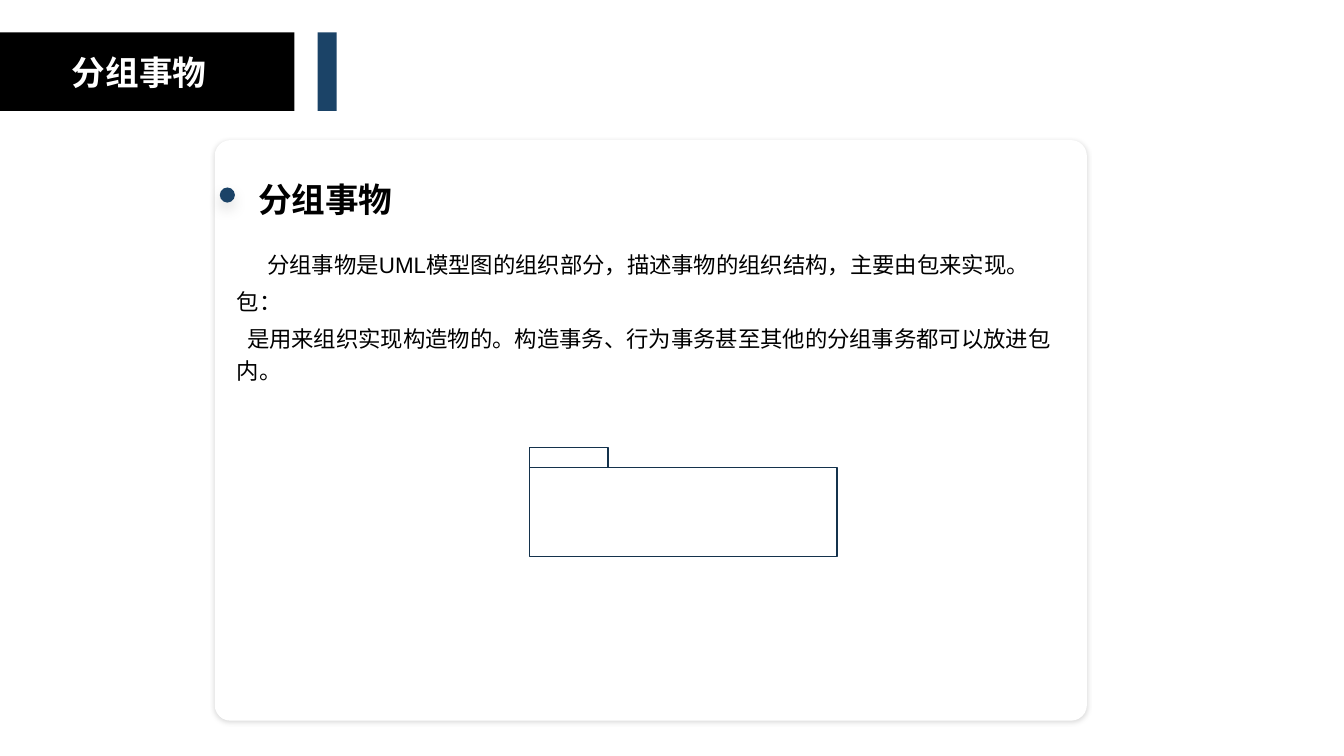
"""Build the slide on grouping things in UML, with the package symbol."""
import dataclasses

import lxml.etree
import pptx
import pptx.dml.color
import pptx.enum.shapes
import pptx.enum.text
import pptx.oxml.ns
import pptx.util

Inches = pptx.util.Inches
Pt = pptx.util.Pt
RGB = pptx.dml.color.RGBColor.from_string
qn = pptx.oxml.ns.qn
Kind = pptx.enum.shapes.MSO_SHAPE
Align = pptx.enum.text.PP_ALIGN


@dataclasses.dataclass(frozen=True)
class Theme:
    black: str = "000000"
    white: str = "FFFFFF"
    blue: str = "1B4367"
    navy: str = "14324C"
    latin: str = "Arial"
    asian: str = "Noto Sans CJK SC"
    head: int = 24
    body: int = 16


theme = Theme()


def draw(kind, box, fill=None, line=None, shade=None):
    shape = slide.shapes.add_shape(kind, *map(Inches, box))
    shape.shadow.inherit = False
    if fill:
        shape.fill.solid()
        shape.fill.fore_color.rgb = RGB(fill)
    else:
        shape.fill.background()
    if line:
        shape.line.color.rgb = RGB(line)
        shape.line.width = Pt(1)
    else:
        shape.line.fill.background()
    if shade:
        alpha, blur, dist = shade
        glow = lxml.etree.SubElement(
            shape._element.spPr.find(qn("a:effectLst")), qn("a:outerShdw"),
            blurRad=str(Pt(blur)), dist=str(Pt(dist)), dir="5400000",
            algn="t", rotWithShape="0")
        tint = lxml.etree.SubElement(glow, qn("a:srgbClr"), val=theme.black)
        lxml.etree.SubElement(tint, qn("a:alpha"), val=str(alpha * 1000))
    return shape


def write(text, *, shape, box, size, color=theme.black, bold=False,
          font=theme.latin, align=Align.LEFT, space=1.0, indents=(0,)):
    shape.left, shape.top, shape.width, shape.height = map(Inches, box)
    slide.shapes._spTree.append(shape._element)
    frame = shape.text_frame
    frame.text = text
    frame.word_wrap = True
    frame.auto_size = pptx.enum.text.MSO_AUTO_SIZE.NONE
    frame.vertical_anchor = pptx.enum.text.MSO_ANCHOR.TOP
    frame.margin_left = frame.margin_right = 0
    frame.margin_top = frame.margin_bottom = 0
    for row, (para, indent) in enumerate(zip(frame.paragraphs, indents)):
        props = para._p.get_or_add_pPr()
        props.set("marL", "0")
        props.set("indent", str(Inches(indent)))
        lxml.etree.SubElement(props, qn("a:buNone"))
        para.alignment = align
        para.line_spacing = space
        para.space_before = Pt(size * 0.2 if row else 0)
        for run in para.runs:
            run.font.size = Pt(size)
            run.font.bold = bold
            run.font.name = font
            run.font.color.rgb = RGB(color)
            lxml.etree.SubElement(run.font._element, qn("a:ea"),
                                  typeface=theme.asian)


deck = pptx.Presentation()
deck.slide_width, deck.slide_height = Inches(13.33), Inches(7.5)
slide = deck.slides.add_slide(deck.slide_layouts[1])
title, body = slide.placeholders

for left, width, fill in ((0, 2.92, theme.black), (3.15, 0.19, theme.blue)):
    draw(Kind.RECTANGLE, (left, 0.32, width, 0.78), fill)
write("分组事物", shape=title, box=(0, 0.51, 2.76, 0.5), size=theme.head,
      color=theme.white, bold=True, font=theme.asian, align=Align.CENTER)

card = draw(Kind.ROUNDED_RECTANGLE, (2.13, 1.39, 8.65, 5.76), theme.white,
            shade=(15, 3, 1))
card.adjustments[0] = 0.027
draw(Kind.OVAL, (2.18, 1.86, 0.15, 0.15), theme.blue, shade=(12, 10, 5))

head = slide.shapes.add_textbox(0, 0, 0, 0)
write("分组事物", shape=head, box=(2.56, 1.69, 4.14, 0.48), size=theme.head,
      bold=True, space=1.2)
write("分组事物是UML模型图的组织部分，描述事物的组织结构，主要由包来实现。\n"
      "包：\n"
      "是用来组织实现构造物的。构造事务、行为事务甚至其他的分组事务都可以放进包内。",
      shape=body, box=(2.35, 2.44, 8.2, 2.62), size=theme.body,
      space=1.2, indents=(0.3, 0, 0.1))

draw(Kind.RECTANGLE, (5.25, 4.64, 3.05, 0.88), line=theme.navy)
draw(Kind.RECTANGLE, (5.25, 4.44, 0.78, 0.2), line=theme.navy)

deck.save("out.pptx")
